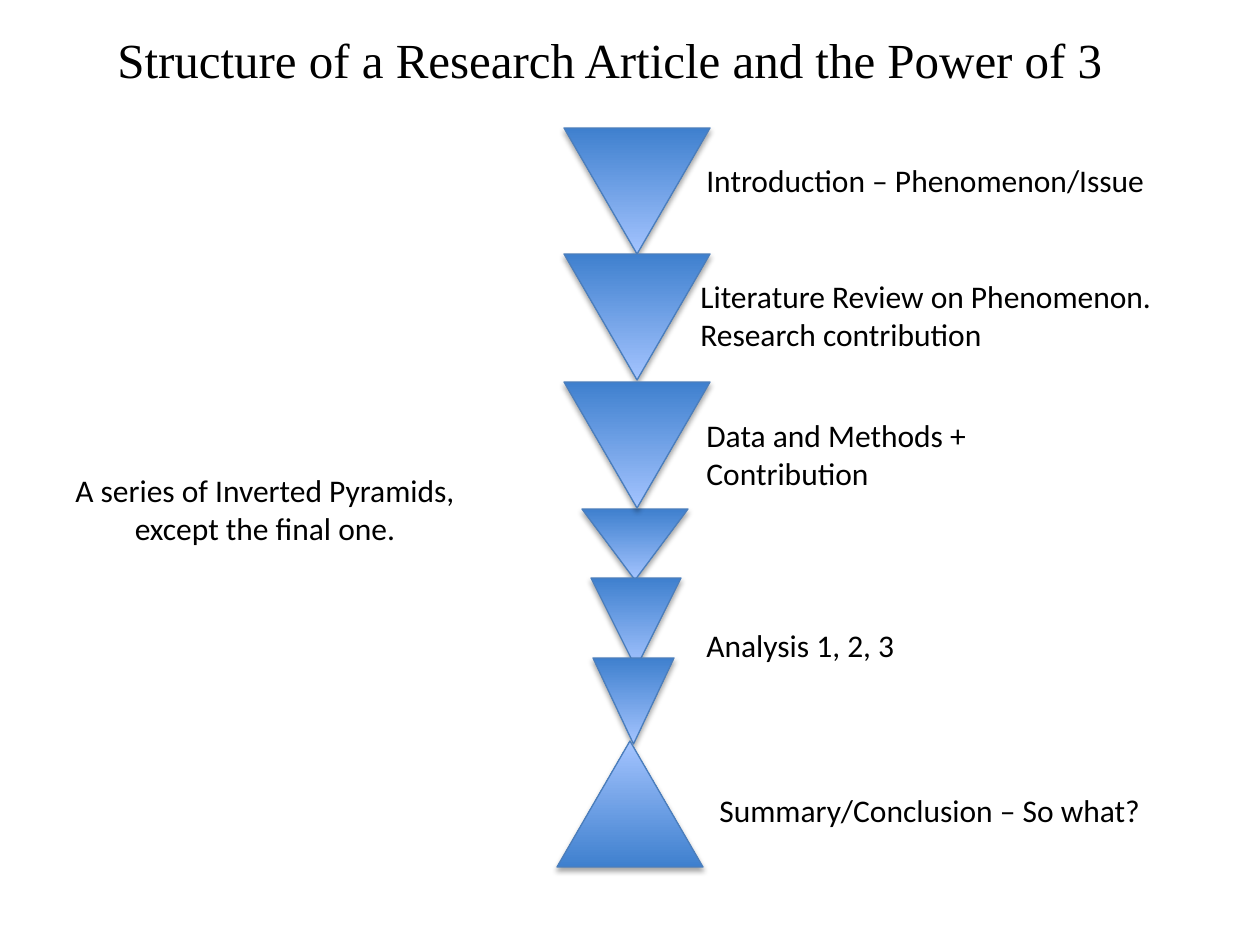
from lxml import etree
from pptx import Presentation, util as u
from pptx.dml.color import RGBColor
from pptx.enum import shapes, text
from pptx.oxml import ns

PX = u.Inches(1) / 126
DARK, LIGHT, EDGE, INK = "3F80CE", "A4C4FF", "4B7EBC", "000000"
BODY, SERIF = "Calibri", "Times New Roman"

# left, top, width, height, rotation; listed from back to front
BIG = 146, 126
PYRAMIDS = [
    (564, 128, *BIG, 180),
    (564, 254, *BIG, 180),
    (582, 509, 106, 71, 180),
    (591, 578, 90, 90, 180),
    (564, 382, *BIG, 180),
    (593, 658, 81, 86, 180),
    (557, 741, *BIG, 0),
]
LABELS = [
    ("Introduction – Phenomenon/Issue", 694, 155, 505, 50),
    ("Literature Review on Phenomenon. Research contribution",
     688, 271, 505, 89),
    ("Data and Methods + Contribution", 694, 410, 411, 89),
    ("Analysis 1, 2, 3", 694, 620, 306, 50),
    ("Summary/Conclusion – So what?", 707, 785, 527, 50),
]
TITLE = ("Structure of a Research Article and the Power of 3",
         105, 23, 1070, 72)
NOTE = ("A series of Inverted Pyramids, except the final one.",
        54, 459, 422, 100)


def px(*vals):
    return [round(v * PX) for v in vals]


def rgb(code):
    return RGBColor.from_string(code)


def shade(shape):
    """Add a soft shadow that falls straight down."""
    shape.shadow.inherit = False
    fx = shape._element.spPr.find(ns.qn("a:effectLst"))
    drop = etree.SubElement(
        fx, ns.qn("a:outerShdw"), blurRad=str(u.Pt(3.1)),
        dist=str(u.Pt(1.8)), dir="5400000", rotWithShape="0")
    tint = etree.SubElement(drop, ns.qn("a:srgbClr"), val=INK)
    etree.SubElement(tint, ns.qn("a:alpha"), val="35000")


def pyramid(slide, x, y, w, h, turn):
    shape = slide.shapes.add_shape(
        shapes.MSO_SHAPE.ISOSCELES_TRIANGLE, *px(x, y, w, h))
    shape.rotation = turn
    fill = shape.fill
    fill.gradient()
    fill.gradient_angle = 90
    for stop, code, pos in zip(fill.gradient_stops, (DARK, LIGHT), (0, 1)):
        stop.color.rgb = rgb(code)
        stop.position = pos
    shape.line.color.rgb = rgb(EDGE)
    shape.line.width = u.Pt(0.75)
    shade(shape)


def label(slide, words, x, y, w, h, size=18, face=BODY,
          align=text.PP_ALIGN.LEFT, anchor=text.MSO_ANCHOR.TOP):
    frame = slide.shapes.add_textbox(*px(x, y, w, h)).text_frame
    frame.word_wrap = True
    frame.vertical_anchor = anchor
    para = frame.paragraphs[0]
    para.text = words
    para.alignment = align
    para.font.size = u.Pt(size)
    para.font.name = face
    para.font.color.rgb = rgb(INK)


def main():
    deck = Presentation()
    deck.slide_width, deck.slide_height = px(1260, 945)
    slide = deck.slides.add_slide(deck.slide_layouts[6])
    label(slide, *NOTE, align=text.PP_ALIGN.CENTER,
          anchor=text.MSO_ANCHOR.MIDDLE)
    for item in PYRAMIDS:
        pyramid(slide, *item)
    for item in LABELS:
        label(slide, *item)
    label(slide, *TITLE, size=28, face=SERIF)
    deck.save("out.pptx")


if __name__ == "__main__":
    main()
